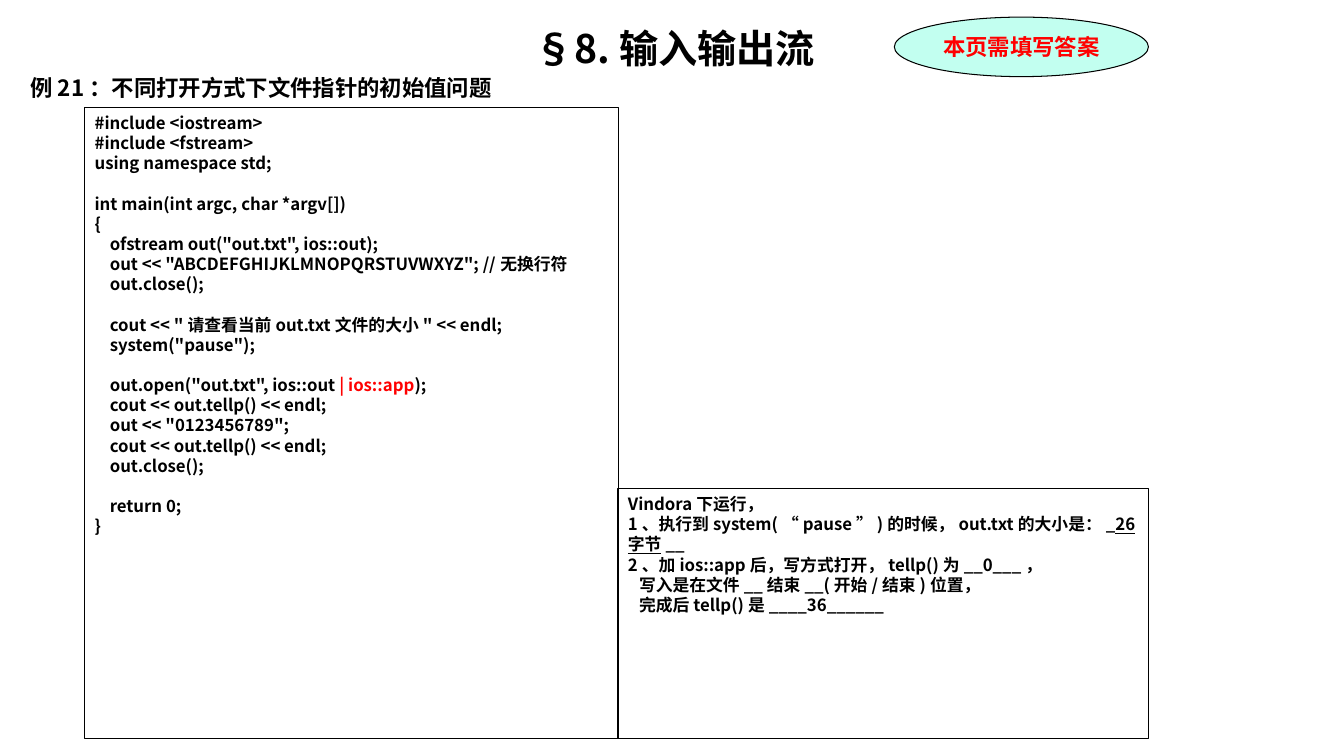
from pptx import Presentation
from pptx.dml.color import RGBColor
from pptx.enum.shapes import MSO_SHAPE
from pptx.enum.text import MSO_ANCHOR, MSO_AUTO_SIZE, PP_ALIGN
from pptx.oxml.ns import qn
from pptx.util import Inches, Pt
from lxml.etree import SubElement

COLORS = {"ink": "000000", "accent": "FF0000", "badge": "C2FFF0"}
FONT = "Noto Sans CJK SC"
LINE_PITCH = 14.4
CODE_INDENT = 0.15
ANSWER_INDENT = 0.11

CODE_BLOCKS = [
    [(0, "#include <iostream>"), (0, "#include <fstream>"), (0, "using namespace std;")],
    [
        (0, "int main(int argc, char *argv[])"),
        (0, "{"),
        (1, 'ofstream out("out.txt", ios::out);'),
        (1, 'out << "ABCDEFGHIJKLMNOPQRSTUVWXYZ"; //无换行符'),
        (1, "out.close();"),
    ],
    [(1, 'cout << "请查看当前out.txt文件的大小" << endl;'), (1, 'system("pause");')],
    [
        (1, 'out.open("out.txt", ios::out', " | ios::app", ");"),
        (1, "cout << out.tellp() << endl;"),
        (1, 'out << "0123456789";'),
        (1, "cout << out.tellp() << endl;"),
        (1, "out.close();"),
    ],
    [(1, "return 0;"), (0, "}")],
]

ANSWER_BLOCKS = [
    [
        (0, "Vindora下运行，"),
        (0, "1、执行到system(“pause”)的时候，out.txt的大小是：_", "26字节", "__"),
        (0, "2、加ios::app后，写方式打开，tellp()为__0___，"),
        (1, "写入是在文件__结束__(开始/结束)位置，"),
        (1, "完成后tellp()是____36______"),
    ]
]


def rgb(name):
    return RGBColor.from_string(COLORS[name])


def format_paragraph(paragraph, size, align=PP_ALIGN.LEFT, color="ink", latin=FONT):
    paragraph.alignment = align
    font = paragraph.font
    font.size = Pt(size)
    font.bold = True
    font.name = latin
    font.color.rgb = rgb(color)
    properties = paragraph._p.get_or_add_pPr().find(qn("a:defRPr"))
    SubElement(properties, qn("a:ea")).set("typeface", FONT)


def place(shape, box):
    shape.left, shape.top, shape.width, shape.height = (Inches(v) for v in box)


def add_heading(placeholder, box, text, size, align):
    place(placeholder, box)
    frame = placeholder.text_frame
    frame.text = text
    frame.word_wrap = True
    frame.auto_size = MSO_AUTO_SIZE.NONE
    frame.vertical_anchor = MSO_ANCHOR.MIDDLE
    format_paragraph(frame.paragraphs[0], size, align)


def add_outlined(slide, kind, box, fill=None):
    outlined = slide.shapes.add_shape(kind, *(Inches(v) for v in box))
    outlined.shadow.inherit = False
    if fill:
        outlined.fill.solid()
        outlined.fill.fore_color.rgb = rgb(fill)
    else:
        outlined.fill.background()
    outlined.line.color.rgb = rgb("ink")
    outlined.line.width = Pt(0.75)
    outlined.text_frame.word_wrap = True
    return outlined


def add_badge(slide, box, text):
    frame = add_outlined(slide, MSO_SHAPE.OVAL, box, "badge").text_frame
    frame.vertical_anchor = MSO_ANCHOR.MIDDLE
    frame.text = text
    format_paragraph(frame.paragraphs[0], 16, PP_ALIGN.CENTER, "accent", "Times New Roman")


def mark_red(font):
    font.color.rgb = rgb("accent")


def mark_underlined(font):
    font.underline = True


def add_listing(slide, box, blocks, indent, mark):
    frame = add_outlined(slide, MSO_SHAPE.RECTANGLE, box).text_frame
    frame.vertical_anchor = MSO_ANCHOR.TOP
    paragraph = None
    for block_number, block in enumerate(blocks):
        for line_number, (level, *parts) in enumerate(block):
            paragraph = frame.add_paragraph() if paragraph else frame.paragraphs[0]
            paragraph.line_spacing = Pt(LINE_PITCH)
            if block_number and not line_number:
                paragraph.space_before = Pt(LINE_PITCH)
            format_paragraph(paragraph, 12)
            if level:
                paragraph._p.get_or_add_pPr().set("marL", str(Inches(indent)))
            for part_number, part in enumerate(parts):
                run = paragraph.add_run()
                run.text = part
                if part_number == 1:
                    mark(run.font)


def main():
    deck = Presentation()
    deck.slide_width, deck.slide_height = Inches(13.33), Inches(7.5)
    slide = deck.slides.add_slide(deck.slide_layouts[0])
    title, example = slide.placeholders
    add_heading(title, (0.2, 0.18, 12.99, 0.58), "§8.输入输出流", 28, PP_ALIGN.CENTER)
    add_heading(example, (0.2, 0.67, 8, 0.4), "例21：不同打开方式下文件指针的初始值问题", 16, PP_ALIGN.LEFT)
    add_badge(slide, (8.87, 0.17, 2.52, 0.59), "本页需填写答案")
    add_listing(slide, (0.84, 1.07, 5.29, 6.26), CODE_BLOCKS, CODE_INDENT, mark_red)
    add_listing(slide, (6.13, 4.85, 5.26, 2.48), ANSWER_BLOCKS, ANSWER_INDENT, mark_underlined)
    deck.save("out.pptx")


if __name__ == "__main__":
    main()
